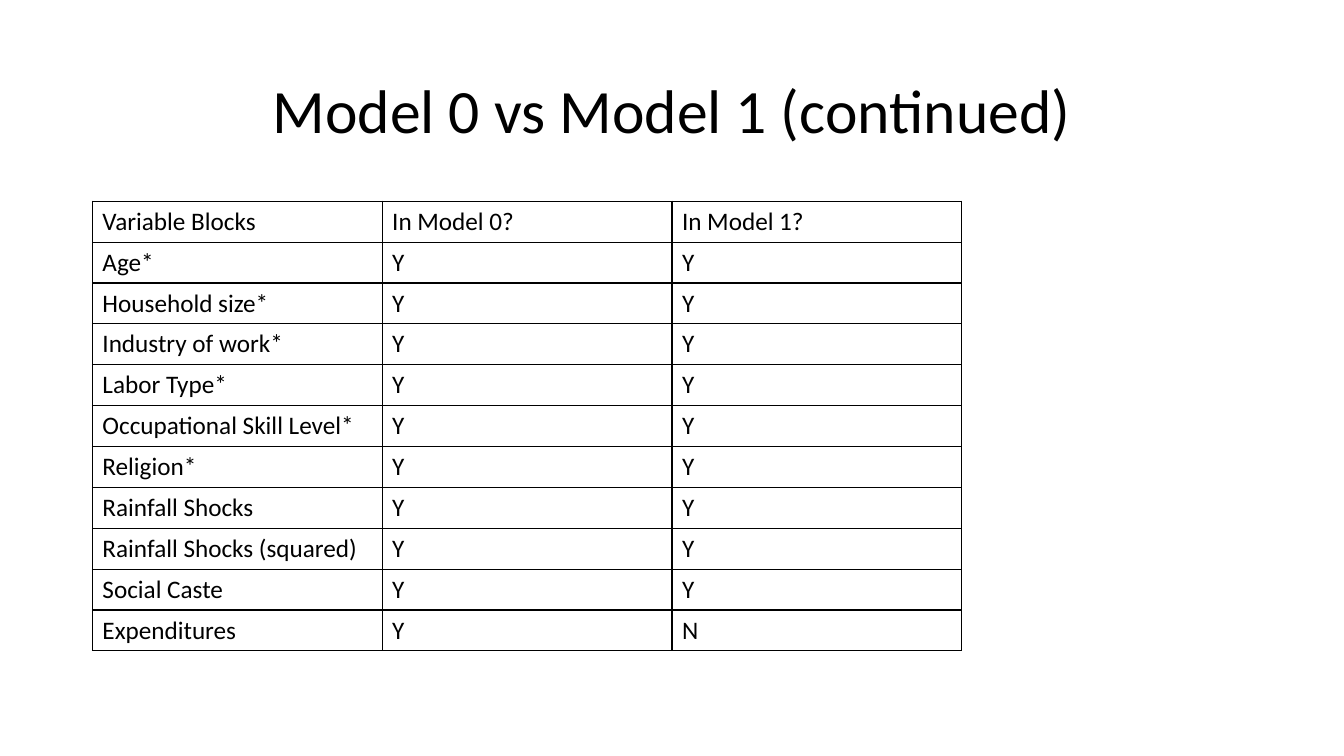
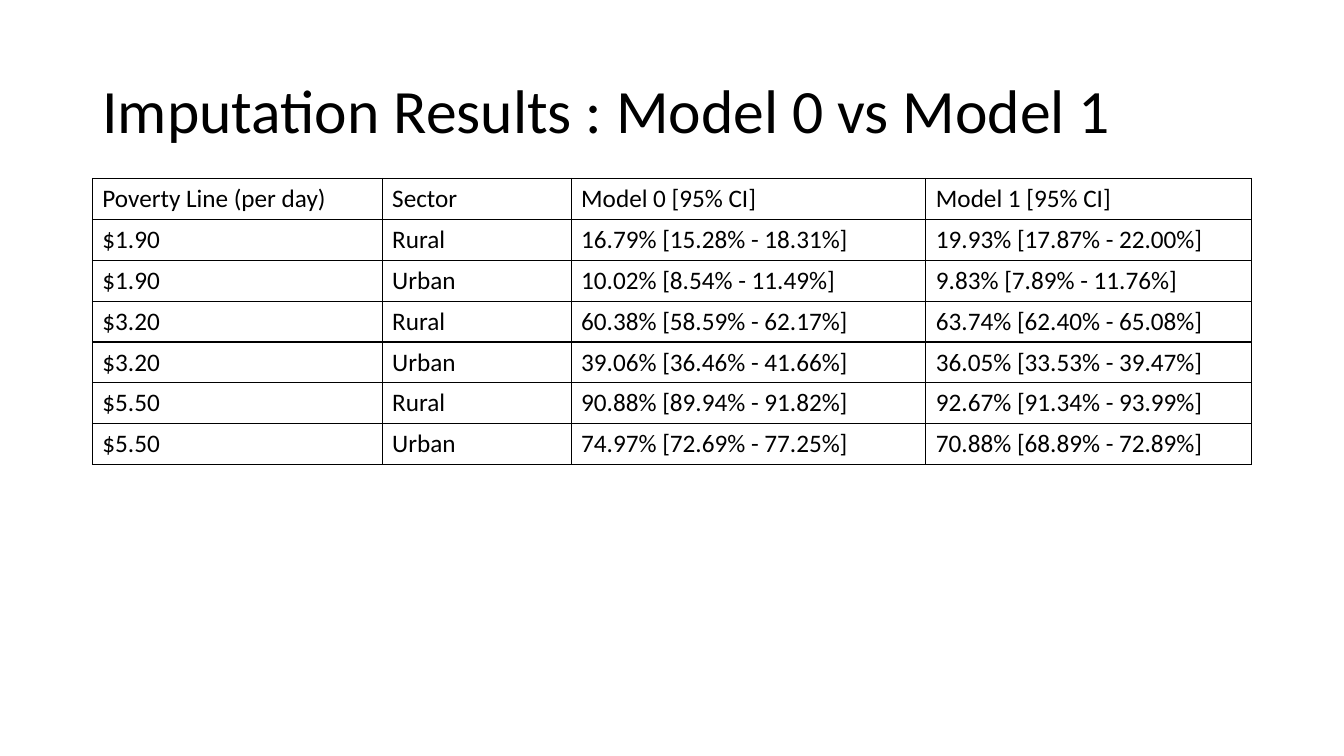
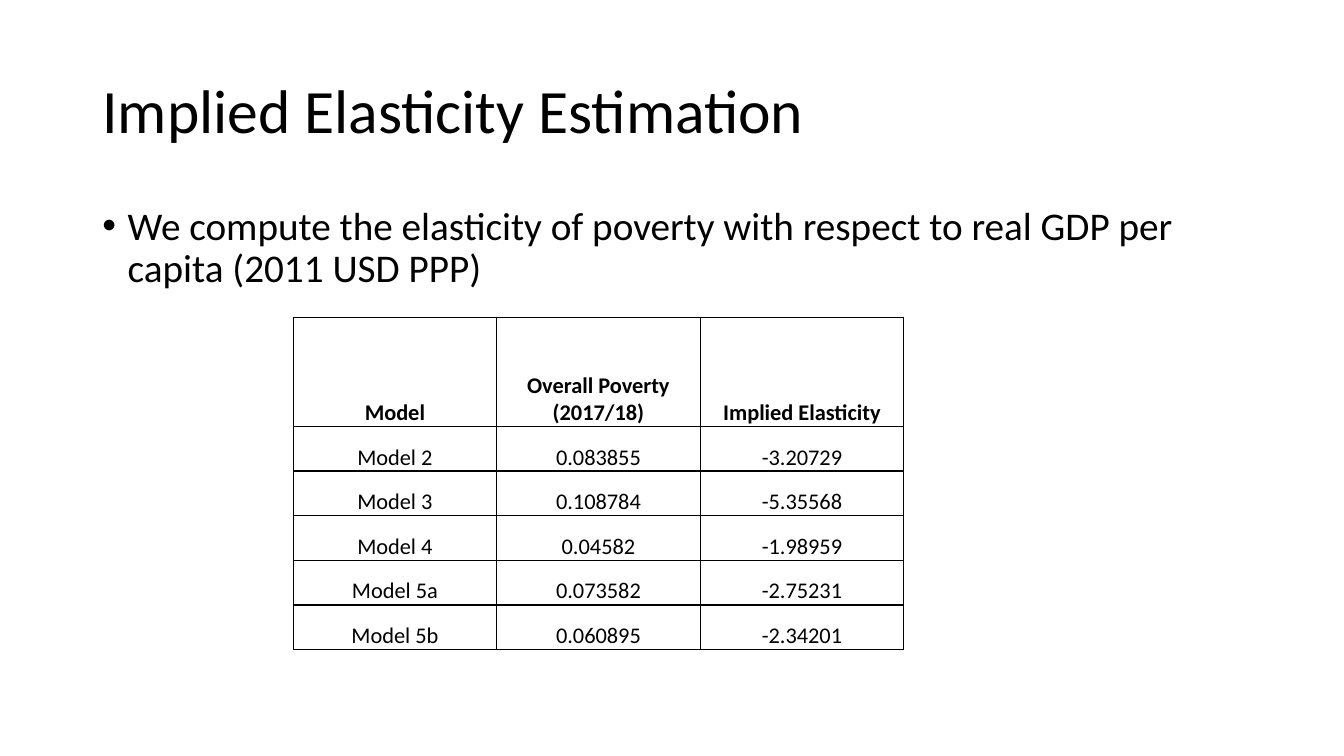
from lxml.etree import SubElement
from pptx import Presentation
from pptx.dml.color import RGBColor
from pptx.enum.text import MSO_ANCHOR, PP_ALIGN
from pptx.oxml import parse_xml
from pptx.oxml.ns import nsdecls
from pptx.util import Pt

BLACK = RGBColor(0, 0, 0)
FONT = "Calibri"
LEFT, WIDTH = 66, 828
TITLE_AREA = (LEFT, 28.8, WIDTH, 104.4)
BODY_AREA = (LEFT, 143.75, WIDTH, 342.6)
BORDER_TAGS = ("lnL", "lnR", "lnT", "lnB")
ROW_HEIGHT = 29.2

PLAIN_CELL = {"vertical_anchor": MSO_ANCHOR.TOP}
CENTRED_CELL = {
    "vertical_anchor": MSO_ANCHOR.BOTTOM,
    "margin_left": Pt(0.75),
    "margin_right": Pt(0.75),
    "margin_top": Pt(0.75),
    "margin_bottom": Pt(0),
}

BLOCKS = [
    "Age*", "Household size*", "Industry of work*", "Labor Type*",
    "Occupational Skill Level*", "Religion*", "Rainfall Shocks",
    "Rainfall Shocks (squared)", "Social Caste",
]

PAGES = [
    {
        "title": "Model 0 vs Model 1 (continued)",
        "title_align": PP_ALIGN.CENTER,
        "place": (LEFT, 143.75),
        "columns": [207] * 3,
        "heights": [ROW_HEIGHT] * 11,
        "size": 18,
        "header_bold": False,
        "align": PP_ALIGN.LEFT,
        "cell": PLAIN_CELL,
        "rows": [
            ("Variable Blocks", "In Model 0?", "In Model 1?"),
            *[(block, "Y", "Y") for block in BLOCKS],
            ("Expenditures", "Y", "N"),
        ],
    },
    {
        "title": "Imputation Results : Model 0 vs Model 1",
        "title_align": PP_ALIGN.LEFT,
        "place": (LEFT, 127.5),
        "columns": [207, 135, 253.4, 232.6],
        "heights": [ROW_HEIGHT] * 7,
        "size": 18,
        "header_bold": False,
        "align": PP_ALIGN.LEFT,
        "cell": PLAIN_CELL,
        "rows": [
            ("Poverty Line (per day)", "Sector", "Model 0 [95% CI]", "Model 1 [95% CI]"),
            ("$1.90", "Rural", "16.79% [15.28% - 18.31%]", "19.93% [17.87% - 22.00%]"),
            ("$1.90", "Urban", "10.02% [8.54% - 11.49%]", "9.83% [7.89% - 11.76%]"),
            ("$3.20", "Rural", "60.38% [58.59% - 62.17%]", "63.74% [62.40% - 65.08%]"),
            ("$3.20", "Urban", "39.06% [36.46% - 41.66%]", "36.05% [33.53% - 39.47%]"),
            ("$5.50", "Rural", "90.88% [89.94% - 91.82%]", "92.67% [91.34% - 93.99%]"),
            ("$5.50", "Urban", "74.97% [72.69% - 77.25%]", "70.88% [68.89% - 72.89%]"),
        ],
    },
    {
        "title": "Implied Elasticity Estimation",
        "title_align": PP_ALIGN.LEFT,
        "bullet": "We compute the elasticity of poverty with respect to real GDP per capita (2011 USD PPP)",
        "place": (209.4, 226.6),
        "columns": [145.4] * 3,
        "heights": [78] + [31.9] * 5,
        "size": 16,
        "header_bold": True,
        "align": PP_ALIGN.CENTER,
        "cell": CENTRED_CELL,
        "rows": [
            ("Model", "Overall Poverty (2017/18)", "Implied Elasticity"),
            ("Model 2", "0.083855", "-3.20729"),
            ("Model 3", "0.108784", "-5.35568"),
            ("Model 4", "0.04582", "-1.98959"),
            ("Model 5a", "0.073582", "-2.75231"),
            ("Model 5b", "0.060895", "-2.34201"),
        ],
    },
]


def write_text(frame, text, size, bold=False, **paragraph_format):
    para = frame.paragraphs[0]
    for name, value in paragraph_format.items():
        setattr(para, name, value)
    span = para.add_run()
    span.text = text
    for name, value in {"name": FONT, "size": Pt(size), "bold": bold}.items():
        setattr(span.font, name, value)
    span.font.color.rgb = BLACK
    return para


def place_box(box, area):
    for name, value in zip(("left", "top", "width", "height"), area):
        setattr(box, name, Pt(value))


deck = Presentation()
deck.slide_width, deck.slide_height = Pt(960), Pt(540)

for content in PAGES:
    layout = deck.slide_layouts[1 if "bullet" in content else 5]
    page = deck.slides.add_slide(layout)

    title = page.shapes.title
    place_box(title, TITLE_AREA)
    title.text_frame.vertical_anchor = MSO_ANCHOR.MIDDLE
    write_text(title.text_frame, content["title"], 44,
               alignment=content["title_align"], line_spacing=0.9)

    if "bullet" in content:
        body = page.placeholders[1]
        place_box(body, BODY_AREA)
        para = write_text(body.text_frame, content["bullet"], 28,
                          line_spacing=0.9, space_before=Pt(10))
        properties = para._p.get_or_add_pPr()
        properties.set("marL", str(Pt(18)))
        properties.set("indent", str(Pt(-18)))
        SubElement(properties, properties.tag.replace("pPr", "buChar"), char="•")

    rows, columns, heights = content["rows"], content["columns"], content["heights"]
    left, top = content["place"]
    table = page.shapes.add_table(
        len(rows), len(columns), Pt(left), Pt(top), Pt(sum(columns)), Pt(sum(heights))
    ).table
    table.first_row = table.horz_banding = False
    for column, width in zip(table.columns, columns):
        column.width = Pt(width)
    for row, height in zip(table.rows, heights):
        row.height = Pt(height)

    for row_index, row in enumerate(rows):
        for column_index, text in enumerate(row):
            cell = table.cell(row_index, column_index)
            for name, value in content["cell"].items():
                setattr(cell, name, value)
            write_text(cell.text_frame, text, content["size"],
                       bold=content["header_bold"] and row_index == 0,
                       alignment=content["align"])
            for tag in BORDER_TAGS:
                cell._tc.get_or_add_tcPr().append(parse_xml(
                    f'<a:{tag} {nsdecls("a")} w="{Pt(1)}"><a:solidFill>'
                    f'<a:srgbClr val="{BLACK}"/></a:solidFill></a:{tag}>'
                ))
            cell.fill.background()

deck.save("out.pptx")
